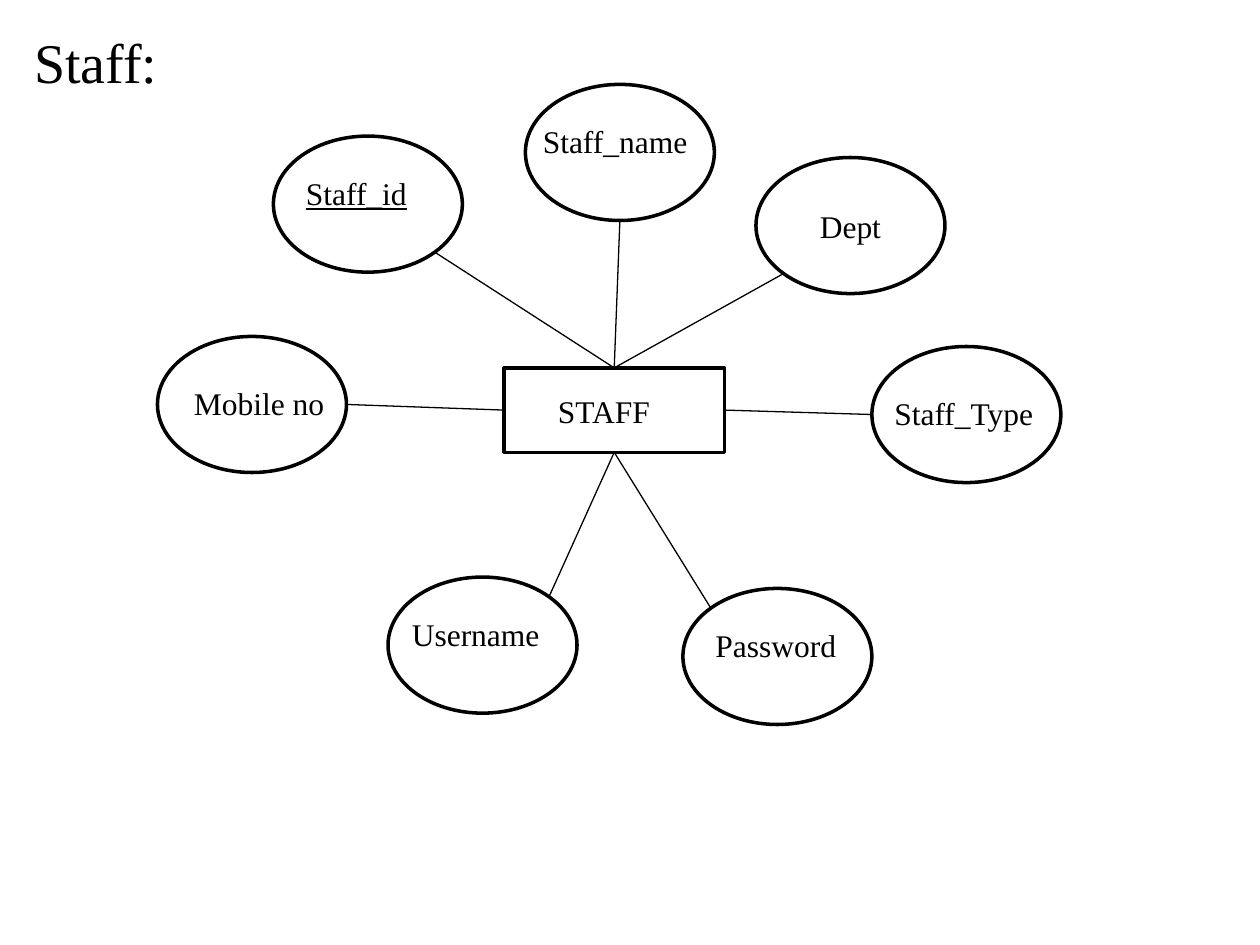
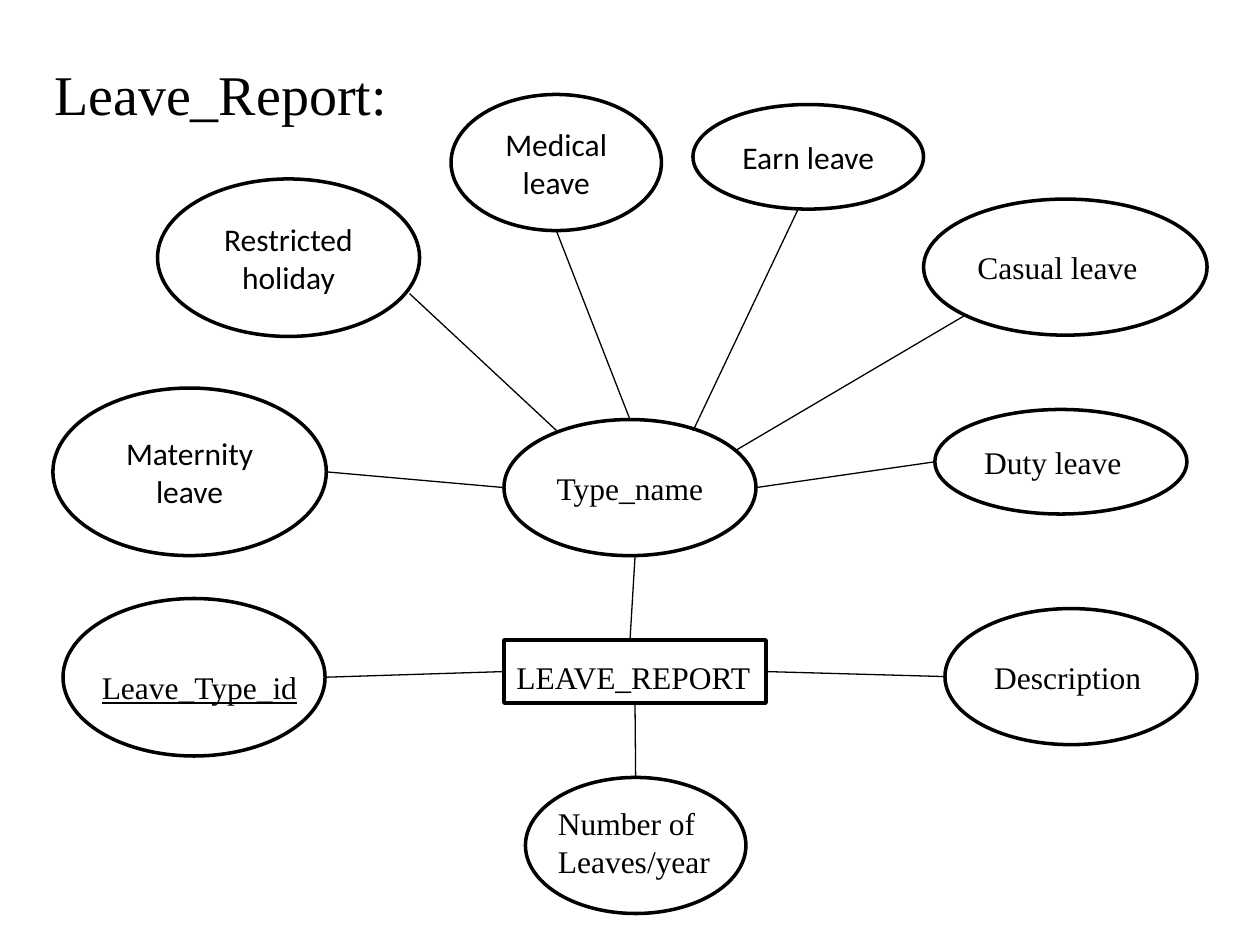
from dataclasses import dataclass
from enum import Enum

import pptx
import pptx.dml.color
import pptx.enum.shapes
import pptx.enum.text
import pptx.oxml
import pptx.oxml.ns
import pptx.util

Inches = pptx.util.Inches
Pt = pptx.util.Pt
Align = pptx.enum.text.PP_ALIGN
Anchor = pptx.enum.text.MSO_ANCHOR
AutoSize = pptx.enum.text.MSO_AUTO_SIZE
Geometry = pptx.enum.shapes.MSO_SHAPE
Point = tuple[float, float]


@dataclass(frozen=True)
class Theme:
    ink: pptx.dml.color.RGBColor = pptx.dml.color.RGBColor(0, 0, 0)
    paper: pptx.dml.color.RGBColor = pptx.dml.color.RGBColor(255, 255, 255)
    serif: str = "Times New Roman"
    sans: str = "Calibri"
    title_size: int = 32
    label_size: int = 18
    outline: float = 2
    link: float = 0.75


THEME = Theme()


class Site(Enum):
    TOP = (0.5, 0)
    BOTTOM = (0.5, 1)
    LEFT = (0, 0.5)
    RIGHT = (1, 0.5)
    UPPER_LEFT = (0.15, 0.15)
    UPPER_RIGHT = (0.85, 0.15)
    LOWER_LEFT = (0.15, 0.85)
    LOWER_RIGHT = (0.85, 0.85)


@dataclass(frozen=True)
class Node:
    left: float
    top: float
    width: float = 1.5
    height: float = 1.08
    text: str = ""
    font: str = THEME.serif
    align: Align = Align.CENTER
    geometry: Geometry = Geometry.OVAL

    def at(self, site: Site) -> Point:
        across, down = site.value
        return self.left + across * self.width, self.top + down * self.height


@dataclass(frozen=True)
class Label:
    lines: tuple[str, ...]
    left: float
    top: float
    width: float
    underline: bool = False


@dataclass(frozen=True)
class Link:
    start: Point
    end: Point


@dataclass(frozen=True)
class Title:
    text: str
    left: float
    top: float
    width: float


@dataclass(frozen=True)
class Diagram:
    title: Title
    nodes: tuple[Node, ...]
    labels: tuple[Label, ...]
    links: tuple[Link, ...]


def add_run(paragraph, text: str, size: int, font: str = THEME.serif,
            underline: bool = False) -> None:
    run = paragraph.add_run()
    run.text = text
    run.font.name = font
    run.font.size = Pt(size)
    run.font.color.rgb = THEME.ink
    if underline:
        run.font.underline = True


def draw_title(slide, title: Title) -> None:
    shape = slide.shapes.title
    shape.left, shape.top = Inches(title.left), Inches(title.top)
    shape.width, shape.height = Inches(title.width), Inches(0.64)
    frame = shape.text_frame
    frame.word_wrap = True
    frame.auto_size = AutoSize.NONE
    frame.vertical_anchor = Anchor.TOP
    paragraph = frame.paragraphs[0]
    paragraph.alignment = Align.LEFT
    add_run(paragraph, title.text, THEME.title_size)


def draw_node(slide, node: Node) -> None:
    shape = slide.shapes.add_shape(
        node.geometry, Inches(node.left), Inches(node.top),
        Inches(node.width), Inches(node.height))
    shape.shadow.inherit = False
    shape.fill.solid()
    shape.fill.fore_color.rgb = THEME.paper
    shape.line.color.rgb = THEME.ink
    shape.line.width = Pt(THEME.outline)
    if node.text:
        frame = shape.text_frame
        frame.word_wrap = True
        frame.vertical_anchor = Anchor.MIDDLE
        paragraph = frame.paragraphs[0]
        paragraph.alignment = node.align
        add_run(paragraph, node.text, THEME.label_size, node.font)


def draw_link(slide, link: Link) -> None:
    connector = slide.shapes.add_connector(
        pptx.enum.shapes.MSO_CONNECTOR.STRAIGHT,
        *(Inches(length) for length in link.start + link.end))
    connector.line.color.rgb = THEME.ink
    connector.line.width = Pt(THEME.link)
    properties = connector._element.spPr
    properties.append(pptx.oxml.parse_xml(
        f"<a:effectLst {pptx.oxml.ns.nsdecls('a')}/>"))


def draw_label(slide, label: Label) -> None:
    height = 0.1 + 0.3 * len(label.lines)
    shape = slide.shapes.add_textbox(
        Inches(label.left), Inches(label.top), Inches(label.width), Inches(height))
    frame = shape.text_frame
    frame.word_wrap = True
    frame.auto_size = AutoSize.SHAPE_TO_FIT_TEXT
    for index, line in enumerate(label.lines):
        paragraph = frame.add_paragraph() if index else frame.paragraphs[0]
        add_run(paragraph, line, THEME.label_size, underline=label.underline)


def draw_diagram(presentation, diagram: Diagram) -> None:
    slide = presentation.slides.add_slide(presentation.slide_layouts[5])
    draw_title(slide, diagram.title)
    for node in diagram.nodes:
        draw_node(slide, node)
    for link in diagram.links:
        draw_link(slide, link)
    for label in diagram.labels:
        draw_label(slide, label)


def staff_diagram() -> Diagram:
    staff = Node(4, 2.92, 1.75, 0.67, geometry=Geometry.RECTANGLE)
    department = Node(6, 1.25, text="Dept")
    staff_name = Node(4.17, 0.67)
    staff_type = Node(6.92, 2.75)
    username = Node(3.08, 4.58)
    password = Node(5.42, 4.67)
    staff_id = Node(2.17, 1.08)
    mobile = Node(1.25, 2.67)
    return Diagram(
        title=Title("Staff:", 0.17, 0.17, 1.75),
        nodes=(staff, department, staff_name, staff_type, username, password,
               staff_id, mobile),
        labels=(
            Label(("STAFF",), 4.33, 3.06, 1.05),
            Label(("Staff_name",), 4.21, 0.92, 2),
            Label(("Password",), 5.58, 4.92, 1.42),
            Label(("Username",), 3.17, 4.83, 2.08),
            Label(("Mobile no",), 1.44, 3, 1.89),
            Label(("Staff_id",), 2.33, 1.33, 1.67, underline=True),
            Label(("Staff_Type",), 7, 3.08, 1.67),
        ),
        links=(
            Link(staff.at(Site.TOP), staff_name.at(Site.BOTTOM)),
            Link(staff.at(Site.TOP), department.at(Site.LOWER_LEFT)),
            Link(staff.at(Site.TOP), staff_id.at(Site.LOWER_RIGHT)),
            Link(staff.at(Site.LEFT), mobile.at(Site.RIGHT)),
            Link(staff.at(Site.RIGHT), staff_type.at(Site.LEFT)),
            Link(staff.at(Site.BOTTOM), password.at(Site.UPPER_LEFT)),
            Link(staff.at(Site.BOTTOM), username.at(Site.UPPER_RIGHT)),
        ),
    )


def leave_report_diagram() -> Diagram:
    report = Node(4, 5.08, 2.08, 0.5, geometry=Geometry.RECTANGLE)
    type_name = Node(4, 3.33, 2, text="Type_name")
    description = Node(7.5, 4.83, 2, text="Description", align=Align.LEFT)
    leave_count = Node(4.17, 6.17, 1.75)
    type_id = Node(0.5, 4.75, 2.08, 1.25)
    casual = Node(7.33, 1.58, 2.25, text="Casual leave", align=Align.LEFT)
    duty = Node(7.42, 3.25, 2, 0.83, "Duty leave", align=Align.LEFT)
    earn = Node(5.5, 0.83, 1.83, 0.83, "Earn leave", THEME.sans)
    medical = Node(3.58, 0.75, 1.67, text="Medical leave", font=THEME.sans)
    restricted = Node(1.25, 1.42, 2.08, 1.25, "Restricted holiday", THEME.sans)
    maternity = Node(0.42, 3.08, 2.17, 1.33, "Maternity leave", THEME.sans)
    return Diagram(
        title=Title("Leave_Report:", 0.33, 0.42, 2.92),
        nodes=(report, type_name, description, leave_count, type_id, casual,
               duty, earn, medical, restricted, maternity),
        labels=(
            Label(("LEAVE_REPORT",), 4, 5.17, 2.25),
            Label(("Number of", "Leaves/year"), 4.33, 6.33, 1.43),
            Label(("Leave_Type_id",), 0.71, 5.25, 2.2, underline=True),
        ),
        links=(
            Link(report.at(Site.BOTTOM), leave_count.at(Site.TOP)),
            Link(report.at(Site.LEFT), type_id.at(Site.RIGHT)),
            Link(report.at(Site.RIGHT), description.at(Site.LEFT)),
            Link((5.04, 4.42), (5, 5.08)),
            Link(type_name.at(Site.RIGHT), duty.at(Site.LEFT)),
            Link(type_name.at(Site.LEFT), maternity.at(Site.RIGHT)),
            Link(type_name.at(Site.TOP), medical.at(Site.BOTTOM)),
            Link((5.83, 3.58), casual.at(Site.LOWER_LEFT)),
            Link((5.5, 3.42), (6.33, 1.67)),
            Link((4.42, 3.42), (3.25, 2.33)),
        ),
    )


def main() -> None:
    presentation = pptx.Presentation()
    presentation.slide_width = Inches(10)
    presentation.slide_height = Inches(7.5)
    for diagram in (staff_diagram(), leave_report_diagram()):
        draw_diagram(presentation, diagram)
    presentation.save("out.pptx")


if __name__ == "__main__":
    main()
